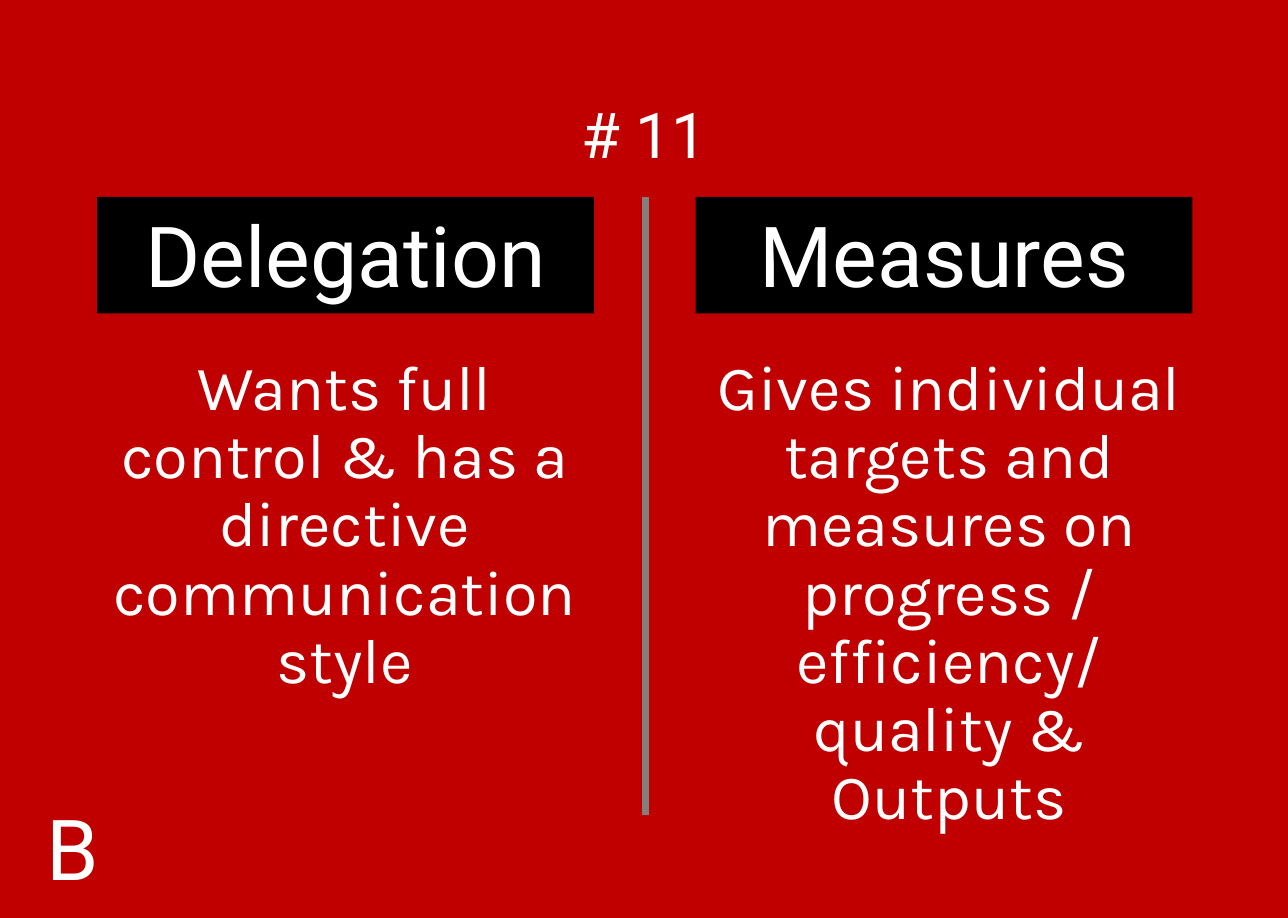
import pptx
import pptx.dml.color
import pptx.enum.shapes
import pptx.enum.text
import pptx.oxml
import pptx.util

SLIDE_WIDTH, SLIDE_HEIGHT = 8.5, 6.06
RED, BLACK, WHITE, GRAY = "C00000", "000000", "FFFFFF", "808080"
HEADING_TOP, ROW_HEIGHT = 1.3, 0.77
BODY_TOP, BODY_BOTTOM = 2.19, 5.38
HEADING_WIDTH = 3.28
COLUMNS = [
    ("Delegation", 0.64, 0.5, 3.55,
     "Wants full control & has a directive communication style"),
    ("Measures", 4.59, 4.46, 3.61,
     "Gives individual targets and measures on progress / efficiency/ quality & Outputs"),
]


def color(value):
    return pptx.dml.color.RGBColor.from_string(value)


def inches(*lengths):
    return [pptx.util.Inches(length) for length in lengths]


def write_text(shape, text, size, font="Roboto", centered=True, top_inset=0.05):
    frame = shape.text_frame
    frame.word_wrap = True
    frame.margin_left, frame.margin_top, frame.margin_right, frame.margin_bottom = inches(
        0.1, top_inset, 0.1, 0.05)
    paragraph = frame.paragraphs[0]
    if centered:
        paragraph.alignment = pptx.enum.text.PP_ALIGN.CENTER
        paragraph.line_spacing = 0.9
    run = paragraph.add_run()
    run.text = text
    run.font.name = font
    run.font.size = pptx.util.Pt(size)
    run.font.color.rgb = color(WHITE)


def add_text(slide, box, text, size, **style):
    shape = slide.shapes.add_textbox(*inches(*box))
    write_text(shape, text, size, **style)


def add_heading(slide, left, text):
    shape = slide.shapes.add_shape(
        pptx.enum.shapes.MSO_SHAPE.RECTANGLE,
        *inches(left, HEADING_TOP, HEADING_WIDTH, ROW_HEIGHT))
    shape.shadow.inherit = False
    shape.fill.solid()
    shape.fill.fore_color.rgb = color(BLACK)
    shape.line.fill.background()
    write_text(shape, text, 40)
    shape.text_frame.vertical_anchor = pptx.enum.text.MSO_ANCHOR.BOTTOM


def add_divider(slide):
    middle = SLIDE_WIDTH / 2 + 0.01
    divider = slide.shapes.add_connector(
        pptx.enum.shapes.MSO_CONNECTOR.STRAIGHT,
        *inches(middle, HEADING_TOP, middle, BODY_BOTTOM))
    divider.line.color.rgb = color(GRAY)
    divider.line.width = pptx.util.Pt(3)
    divider._element.spPr.append(pptx.oxml.parse_xml(
        '<a:effectLst xmlns:a="http://schemas.openxmlformats.org/drawingml/2006/main"/>'))


def main():
    presentation = pptx.Presentation()
    presentation.slide_width, presentation.slide_height = inches(SLIDE_WIDTH, SLIDE_HEIGHT)
    slide = presentation.slides.add_slide(presentation.slide_layouts[6])
    slide.background.fill.solid()
    slide.background.fill.fore_color.rgb = color(RED)

    add_divider(slide)
    for heading, heading_left, body_left, body_width, body in COLUMNS:
        body_box = (body_left, BODY_TOP, body_width, BODY_BOTTOM - BODY_TOP)
        add_text(slide, body_box, body, 30, font="Karla", top_inset=0.16)
        add_heading(slide, heading_left, heading)
    number_box = (3.64, HEADING_TOP - ROW_HEIGHT, 1.22, ROW_HEIGHT)
    add_text(slide, number_box, "# 11", 30, top_inset=0.16)
    add_text(slide, (0.21, 5.21, 0.43, ROW_HEIGHT), "B", 40, centered=False)

    presentation.save("out.pptx")


if __name__ == "__main__":
    main()
